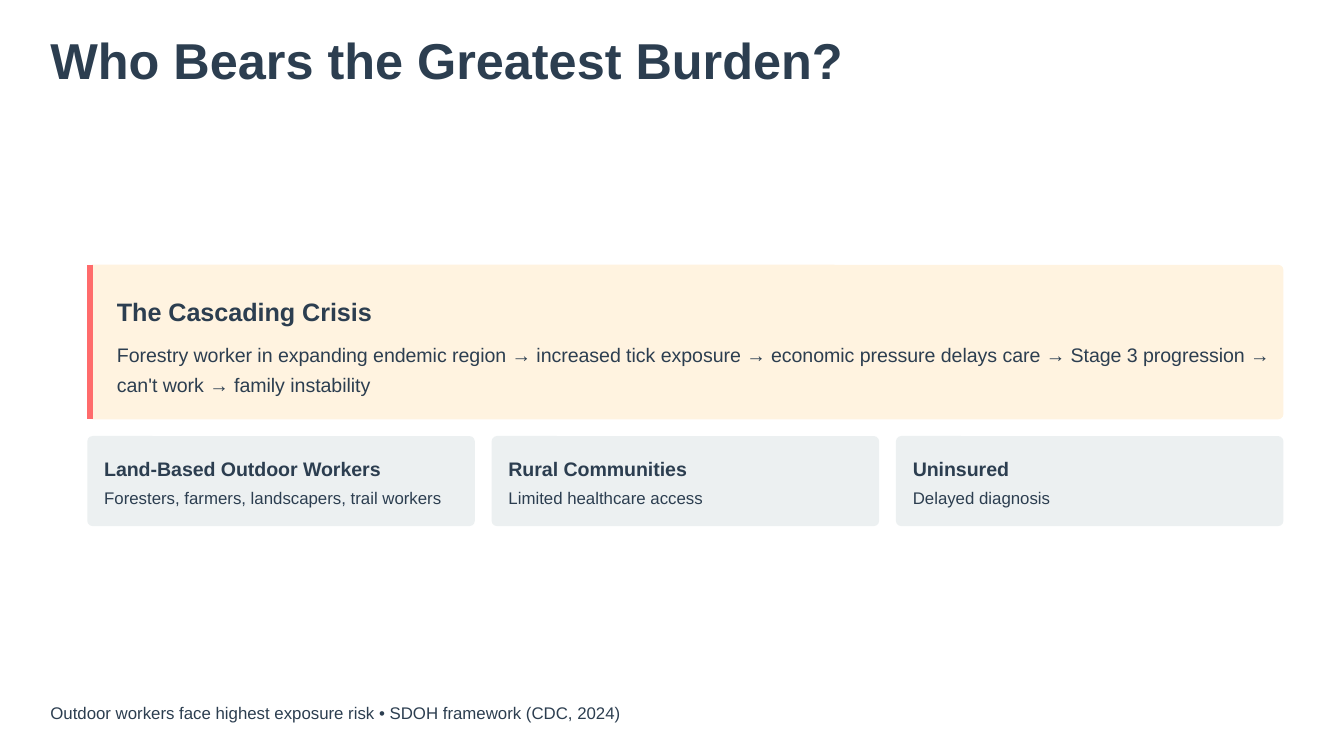
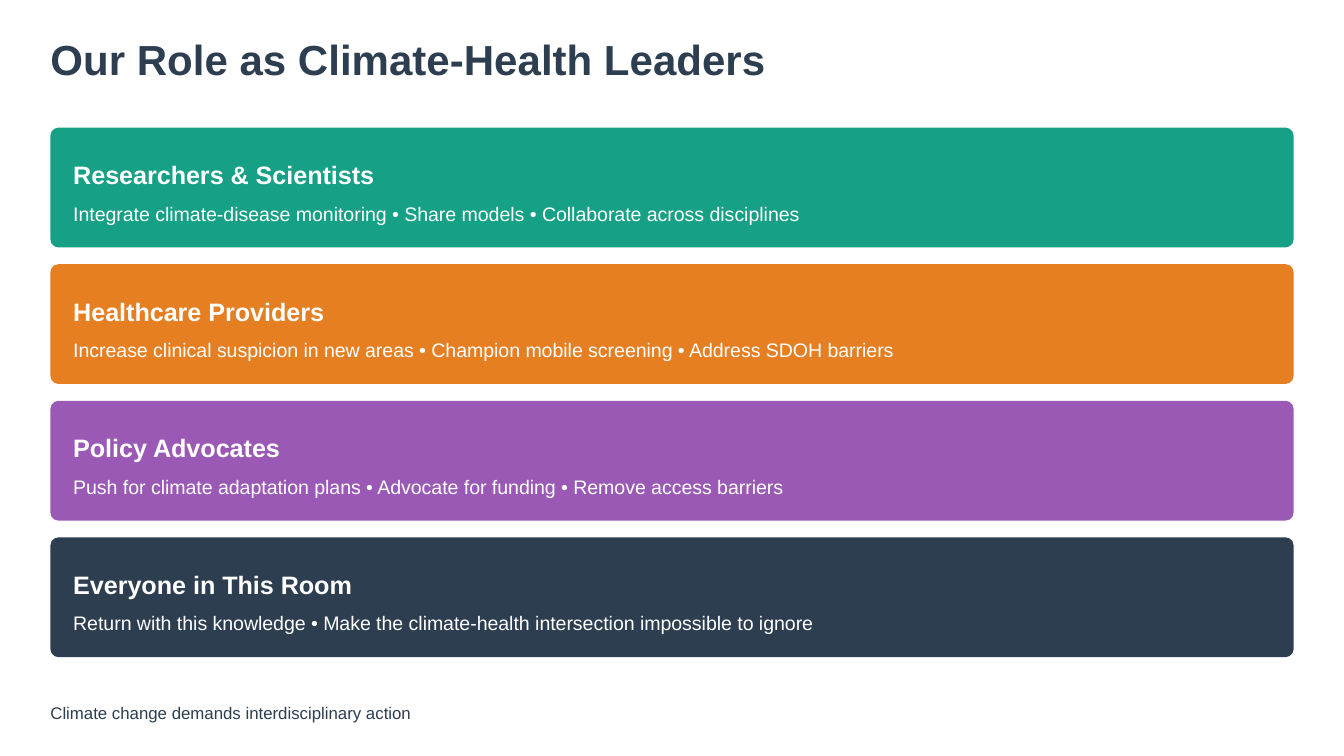
from dataclasses import dataclass

from lxml.etree import SubElement
from pptx import Presentation
from pptx.dml.color import RGBColor
from pptx.enum.shapes import MSO_CONNECTOR as Link, MSO_SHAPE as Shape
from pptx.oxml.ns import qn
from pptx.util import Inches, Pt

# Content
BURDEN = {
    "title": "Who Bears the Greatest Burden?",
    "crisis": (
        "The Cascading Crisis",
        "Forestry worker in expanding endemic region → increased tick exposure → "
        "economic pressure delays care → Stage 3 progression → can't work → "
        "family instability",
    ),
    "groups": [
        ("Land-Based Outdoor Workers", "Foresters, farmers, landscapers, trail workers"),
        ("Rural Communities", "Limited healthcare access"),
        ("Uninsured", "Delayed diagnosis"),
    ],
    "footer": "Outdoor workers face highest exposure risk • SDOH framework (CDC, 2024)",
}
ROLES = {
    "title": "Our Role as Climate-Health Leaders",
    "roles": [
        ("Researchers & Scientists", "Integrate climate-disease monitoring • "
         "Share models • Collaborate across disciplines", "teal"),
        ("Healthcare Providers", "Increase clinical suspicion in new areas • "
         "Champion mobile screening • Address SDOH barriers", "orange"),
        ("Policy Advocates", "Push for climate adaptation plans • "
         "Advocate for funding • Remove access barriers", "purple"),
        ("Everyone in This Room", "Return with this knowledge • "
         "Make the climate-health intersection impossible to ignore", "ink"),
    ],
    "footer": "Climate change demands interdisciplinary action",
}


@dataclass(frozen=True)
class Type:
    size: float
    line: float
    bold: bool = False
    after: float = 0


class Theme:
    font = "Arial"
    wide = 10
    high = wide * 9 / 16
    edge = wide * 3 / 80
    gap = wide / 80
    colors = {
        "ink": "2C3E50", "white": "FFFFFF", "cream": "FFF3E0", "mist": "ECF0F1",
        "coral": "FF6B6B", "teal": "16A085", "orange": "E67E22", "purple": "9B59B6",
    }
    large = Type(27, 30, True, 7.5)
    title = Type(22.5, 27, True, 7.5)
    foot = Type(9, 12)


@dataclass(frozen=True)
class Card:
    """Style of a card; head and body are (top within card, height)."""
    radius: float
    pad: float
    trim: float
    head: tuple
    body: tuple
    htype: Type
    btype: Type


CRISIS = Card(0.04, 0.22, 0, (0.17, 0.29), (0.54, 0.44),
              Type(13.5, 21, True, 6), Type(10.5, 15.8))
GROUP = Card(0.04, Theme.gap, 0.08, (Theme.gap, 0.21), (0.37, 0.17),
             Type(10.5, 15, True, 3), Type(9, 12))
ROLE = Card(0.06, 0.17, 0, (0.17, 0.29), (0.52, 0.2),
            Type(13.5, 21, True, 4.5), Type(10.5, 14.7))


def paint(name):
    return RGBColor.from_string(Theme.colors[name])


def write(slide, text, box, kind, color="ink"):
    frame = slide.shapes.add_textbox(*map(Inches, box)).text_frame
    frame.word_wrap = True
    frame.margin_left = frame.margin_right = 0
    frame.margin_top = frame.margin_bottom = 0
    para = frame.paragraphs[0]
    para.text = text
    para.line_spacing = Pt(kind.line)
    para.space_after = Pt(kind.after)
    font = para.font
    font.name, font.size, font.bold = Theme.font, Pt(kind.size), kind.bold
    font.color.rgb = paint(color)


def panel(slide, box, fill, radius):
    shape = slide.shapes.add_shape(Shape.ROUNDED_RECTANGLE, *map(Inches, box))
    shape.adjustments[0] = radius / min(box[2:])
    shape.shadow.inherit = False
    shape.fill.solid()
    shape.fill.fore_color.rgb = paint(fill)
    shape.line.fill.background()


def card(slide, box, style, head, body, fill, color="ink"):
    left, top, wide, _ = box
    panel(slide, box, fill, style.radius)
    rows = ((head, style.head, style.htype), (body, style.body, style.btype))
    for text, (down, high), kind in rows:
        area = (left + style.pad, top + down, wide - style.pad - style.trim, high)
        write(slide, text, area, kind, color)


def stripe(slide, x, top, end):
    line = slide.shapes.add_connector(Link.STRAIGHT, *map(Inches, (x, top, x, end)))
    line.line.color.rgb = paint("coral")
    line.line.width = Pt(3.75)
    SubElement(line._element.spPr, qn("a:effectLst"))


def split(start, total, count):
    """Starts and common size of equal parts parted by the theme's gap."""
    size = (total - Theme.gap * (count - 1)) / count
    return [start + i * (size + Theme.gap) for i in range(count)], size


def page(deck, data, kind, wide):
    slide = deck.slides.add_slide(deck.slide_layouts[6])
    fill = slide.background.fill
    fill.solid()
    fill.fore_color.rgb = paint("white")
    write(slide, data["title"], (Theme.edge, 0.25, wide, kind.line / 72), kind)
    write(slide, data["footer"], (Theme.edge, 5.21, 9.44, 0.17), Theme.foot)
    return slide


def burden(deck):
    slide = page(deck, BURDEN, Theme.large, 6.02)
    left, top, wide, high = 0.65, 1.97, 8.9, 1.15
    card(slide, (left, top, wide, high), CRISIS, *BURDEN["crisis"], "cream")
    stripe(slide, left + 0.02, top, top + high)
    row = top + high + Theme.gap
    cols, size = split(left, wide, len(BURDEN["groups"]))
    for x, (head, body) in zip(cols, BURDEN["groups"]):
        card(slide, (x, row, size, 0.67), GROUP, head, body, "mist")


def roles(deck):
    slide = page(deck, ROLES, Theme.title, 5.43)
    wide = Theme.wide - 2 * Theme.edge
    rows, size = split(0.95, 3.94, len(ROLES["roles"]))
    for y, (head, body, fill) in zip(rows, ROLES["roles"]):
        card(slide, (Theme.edge, y, wide, size), ROLE, head, body, fill, "white")


def main():
    deck = Presentation()
    deck.slide_width, deck.slide_height = Inches(Theme.wide), Inches(Theme.high)
    burden(deck)
    roles(deck)
    deck.save("out.pptx")


if __name__ == "__main__":
    main()
